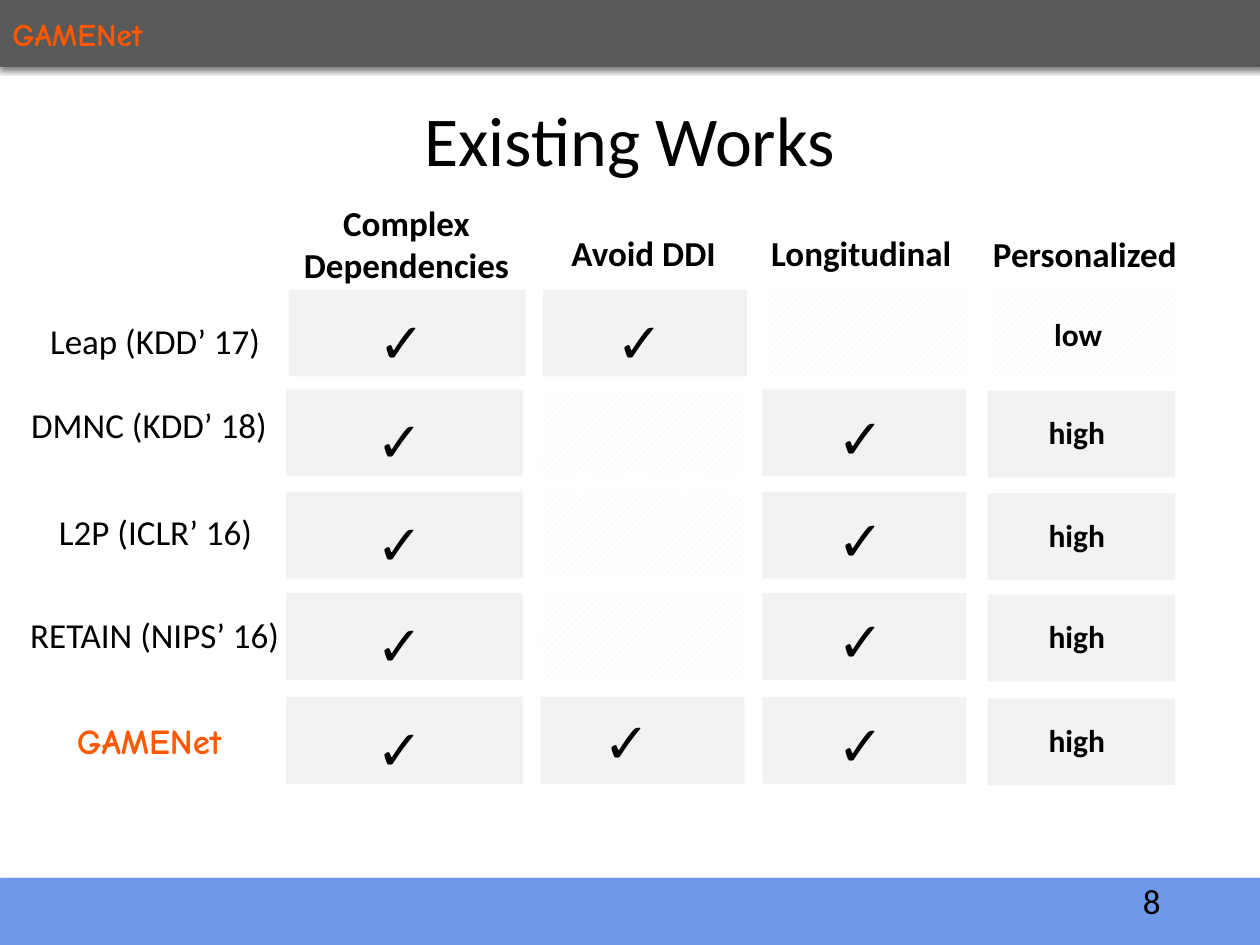
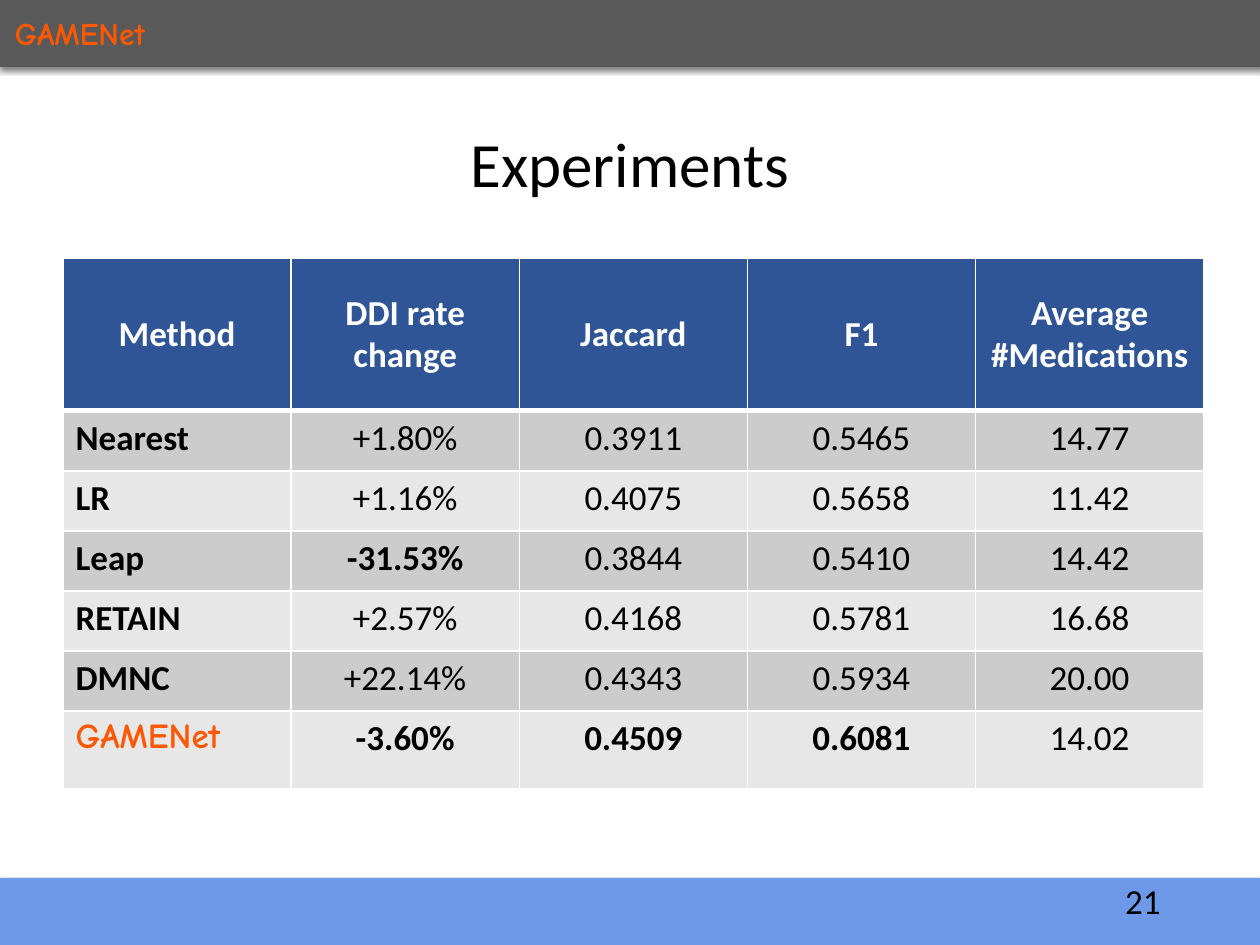
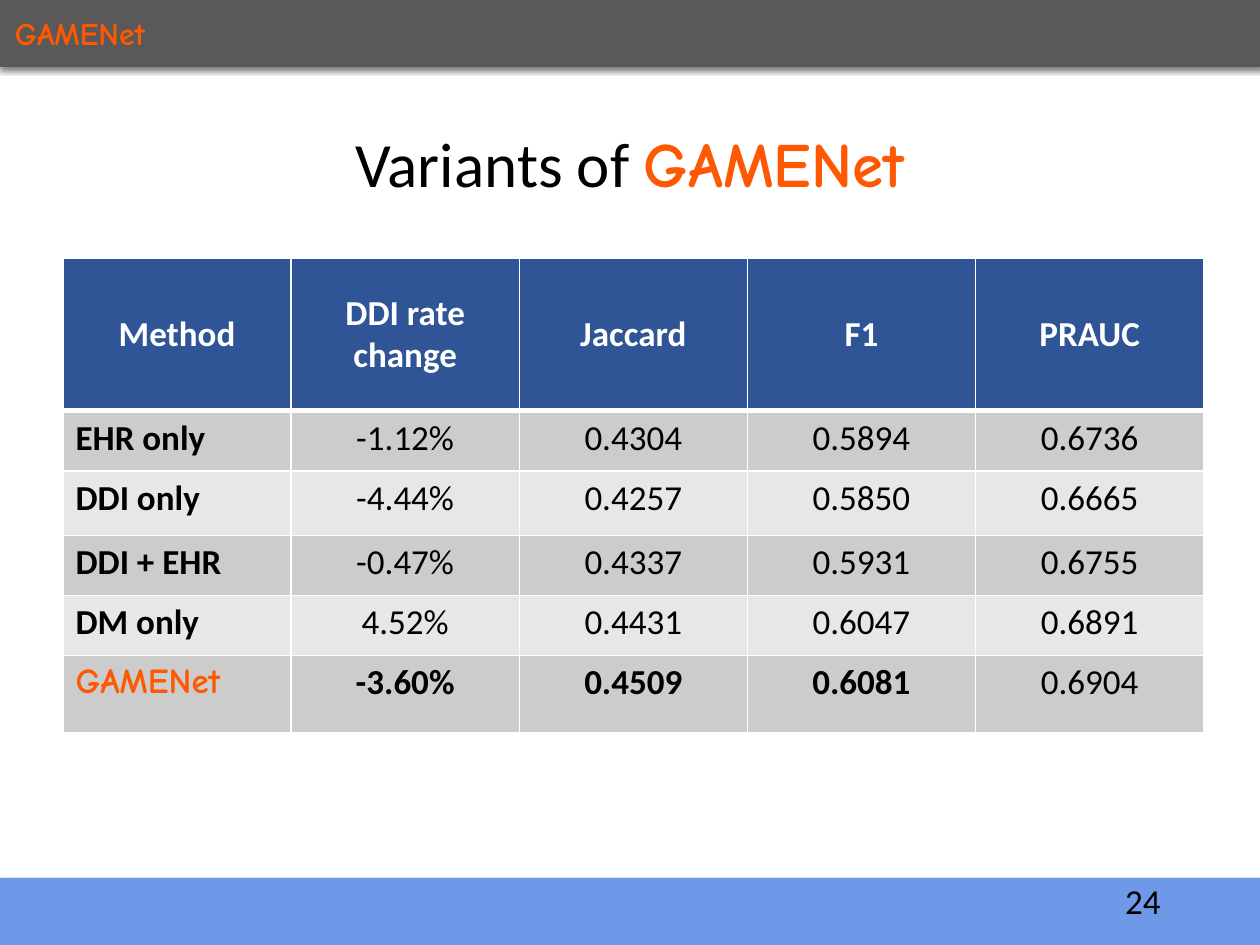
from lxml.etree import SubElement as Sub
from pptx import Presentation
from pptx.dml.color import RGBColor as Rgb
from pptx.enum.dml import MSO_PATTERN as Pat
from pptx.enum.shapes import MSO_SHAPE as Form
from pptx.enum.text import MSO_ANCHOR as Anchor, MSO_AUTO_SIZE as Auto, PP_ALIGN as Align
from pptx.oxml import parse_xml as to_xml
from pptx.oxml.ns import nsdecls, qn
from pptx.util import Cm, Pt

BRAND = "GAMENet"
BLACK, WHITE, ORANGE = "000000", "FFFFFF", "FE5802"
GREY, BLUE, PALE = "595959", "6D99E8", "F2F2F2"
NAVY, DARK, LIGHT = "2F5597", "CCCCCC", "E7E7E7"

LEFTS = [5.77, 10.9, 15.37, 19.91]
WIDTHS = [4.78, 4.11, 4.11, 3.78]
TOPS = [5.84, 7.85, 9.91, 11.96, 14.05]
HEADS = [
    (["Complex", "Dependencies"], 5.77, 3.94, 4.85),
    (["Avoid DDI"], 11.25, 4.55, 3.45),
    (["Longitudinal"], 15.27, 4.55, 4.19),
    (["Personalized"], 19.66, 4.57, 4.42),
]
LABELS = [
    ("Leap (KDD’ 17)", 0.76, 6.32, 4.78),
    ("DMNC (KDD’ 18)", 0.38, 8, 5.31),
    ("L2P (ICLR’ 16)", 0.94, 10.16, 4.45),
    ("RETAIN (NIPS’ 16)", 0.36, 12.24, 5.59),
    (BRAND, 1.3, 14.38, 3.71),
]
DEEP = ("✓", 1.57, 0.23)
LONG = ("✓", 1.27, 0.15)
HIGH = ("high", 0.98, 0.36)
MARKS = [
    [DEEP, ("✓", 1.22, 0.23), None, ("low", 1.04, 0.38)],
    [DEEP, None, LONG, HIGH],
    [DEEP, None, LONG, HIGH],
    [DEEP, None, LONG, HIGH],
    [DEEP, ("✓", 1.02, 0.08), LONG, HIGH],
]

TRIALS = [
    ["Method", "DDI rate change", "Jaccard", "F1", "Average #Medications"],
    ["Nearest", "+1.80%", "0.3911", "0.5465", "14.77"],
    ["LR", "+1.16%", "0.4075", "0.5658", "11.42"],
    ["Leap", "-31.53%", "0.3844", "0.5410", "14.42"],
    ["RETAIN", "+2.57%", "0.4168", "0.5781", "16.68"],
    ["DMNC", "+22.14%", "0.4343", "0.5934", "20.00"],
    [BRAND, "-3.60%", "0.4509", "0.6081", "14.02"],
]
KINDS = [
    ["Method", "DDI rate change", "Jaccard", "F1", "PRAUC"],
    ["EHR only", "-1.12%", "0.4304", "0.5894", "0.6736"],
    ["DDI only", "-4.44%", "0.4257", "0.5850", "0.6665"],
    ["DDI + EHR", "-0.47%", "0.4337", "0.5931", "0.6755"],
    ["DM only", "4.52%", "0.4431", "0.6047", "0.6891"],
    [BRAND, "-3.60%", "0.4509", "0.6081", "0.6904"],
]
BEST = {"-31.53%", "-3.60%", "0.4509", "0.6081"}


def color(code):
    return Rgb.from_string(code)


def add_run(par, text, size, bold=False, hue=BLACK):
    run = par.add_run()
    run.text = text
    own = text == BRAND
    font = run.font
    font.name = "Comic Neue" if own else "Calibri"
    font.size = Pt(size)
    font.bold = bold or own
    font.color.rgb = color(ORANGE if own else hue)


def add_text(slide, lines, x, y, w, h, size, bold=False, align=Align.LEFT,
             wrap=False, anchor=Anchor.TOP, inset=None):
    frame = slide.shapes.add_textbox(Cm(x), Cm(y), Cm(w), Cm(h)).text_frame
    frame.word_wrap = wrap
    frame.auto_size = Auto.NONE if wrap else Auto.SHAPE_TO_FIT_TEXT
    frame.vertical_anchor = anchor
    if inset is not None:
        frame.margin_left = frame.margin_right = Cm(inset)
        frame.margin_top = frame.margin_bottom = Cm(inset)
    for i, line in enumerate(lines):
        par = frame.add_paragraph() if i else frame.paragraphs[0]
        par.alignment = align
        for part in line if isinstance(line, list) else [line]:
            add_run(par, part, size, bold)


def add_box(slide, x, y, w, h, hue, hatch=False):
    box = slide.shapes.add_shape(Form.RECTANGLE, Cm(x), Cm(y), Cm(w), Cm(h))
    box.shadow.inherit = False
    box.line.fill.background()
    fill = box.fill
    if hatch:
        fill.patterned()
        fill.pattern = Pat.WIDE_UPWARD_DIAGONAL
        fill.fore_color.rgb = color(hue)
        fill.back_color.rgb = color(WHITE)
    else:
        fill.solid()
        fill.fore_color.rgb = color(hue)
    return box


def add_band(slide, y, hue):
    band = add_box(slide, 0, y, 25.43, 1.35, hue)
    glow = band._element.spPr.find(qn("a:effectLst"))
    cast = Sub(glow, qn("a:outerShdw"), blurRad=str(Pt(3)), dist=str(Pt(2)),
               dir="5400000", rotWithShape="0")
    tint = Sub(cast, qn("a:srgbClr"), val=BLACK)
    Sub(tint, qn("a:alpha"), val="50000")


def add_page(deck, title, number, size=36, top=2.41, high=1.73, logo=(0.05, 0.15)):
    slide = deck.slides.add_slide(deck.slide_layouts[6])
    add_text(slide, [title], 2.08, top, 21.23, high, size, align=Align.CENTER,
             wrap=True, anchor=Anchor.MIDDLE, inset=0.1)
    add_band(slide, 17.7, BLUE)
    add_band(slide, 0, GREY)
    add_text(slide, [BRAND], *logo, 3.35, 1.02, 18)
    add_text(slide, [number], 17.93, 17.65, 5.72, 1.02, 20, align=Align.RIGHT,
             wrap=True, anchor=Anchor.MIDDLE)
    return slide


def add_edges(cell, base):
    props = cell._tc.get_or_add_tcPr()
    for i, side in enumerate("LRTB"):
        width = Pt(base if side == "B" else 1)
        props.insert(i, to_xml(
            f'<a:ln{side} {nsdecls("a")} w="{width}"><a:solidFill>'
            f'<a:srgbClr val="{WHITE}"/></a:solidFill></a:ln{side}>'))


def add_grid(slide, rows, highs):
    shape = slide.shapes.add_table(len(rows), len(rows[0]), Cm(1.27), Cm(5.21),
                                   Cm(22.99), Cm(sum(highs)))
    table = shape.table
    table.first_row = table.horz_banding = False
    for col in table.columns:
        col.width = Cm(4.6)
    for r, row in enumerate(rows):
        table.rows[r].height = Cm(highs[r])
        head = r == 0
        for c, text in enumerate(row):
            cell = table.cell(r, c)
            cell.fill.solid()
            cell.fill.fore_color.rgb = color(NAVY if head else DARK if r % 2 else LIGHT)
            cell.vertical_anchor = Anchor.MIDDLE if head else Anchor.TOP
            add_edges(cell, 3 if head else 1)
            par = cell.text_frame.paragraphs[0]
            par.alignment = Align.CENTER if head or c else Align.LEFT
            add_run(par, text, 20, head or c == 0 or text in BEST,
                    WHITE if head else BLACK)


def add_works(slide):
    for lines, x, y, w in HEADS:
        add_text(slide, lines, x, y, w, 1.12 if len(lines) == 1 else 1.96, 20,
                 True, Align.CENTER)
    for text, x, y, w in LABELS:
        add_text(slide, [text], x, y, w, 1.12, 20, wrap=text == BRAND)
    for r, (top, row) in enumerate(zip(TOPS, MARKS)):
        for c, (left, width, mark) in enumerate(zip(LEFTS, WIDTHS, row)):
            x = left + (0.05 if r == 0 else 0)
            y = top + (0.03 if c == 3 else 0)
            hatch = mark is None or mark[0] == "low"
            add_box(slide, x, y, width, 1.75, PALE, hatch)
            if mark:
                text, dx, dy = mark
                tick = text == "✓"
                add_text(slide, [text], x + dx, top + dy,
                         1.5 if text == "low" else 1.65,
                         1.63 if tick else 1.02, 32 if tick else 18, True)


def main():
    deck = Presentation()
    deck.slide_width, deck.slide_height = Cm(25.4), Cm(19.05)
    add_works(add_page(deck, "Existing Works", "8", 40, 1.85, 1.9, (0, 0.18)))
    add_grid(add_page(deck, "Experiments", "21"), TRIALS,
             [3.07] + [1.21] * 5 + [1.57])
    add_grid(add_page(deck, ["Variants of ", BRAND], "24"), KINDS,
             [3.07, 1.21, 1.3, 1.21, 1.21, 1.57])
    deck.save("out.pptx")


if __name__ == "__main__":
    main()
